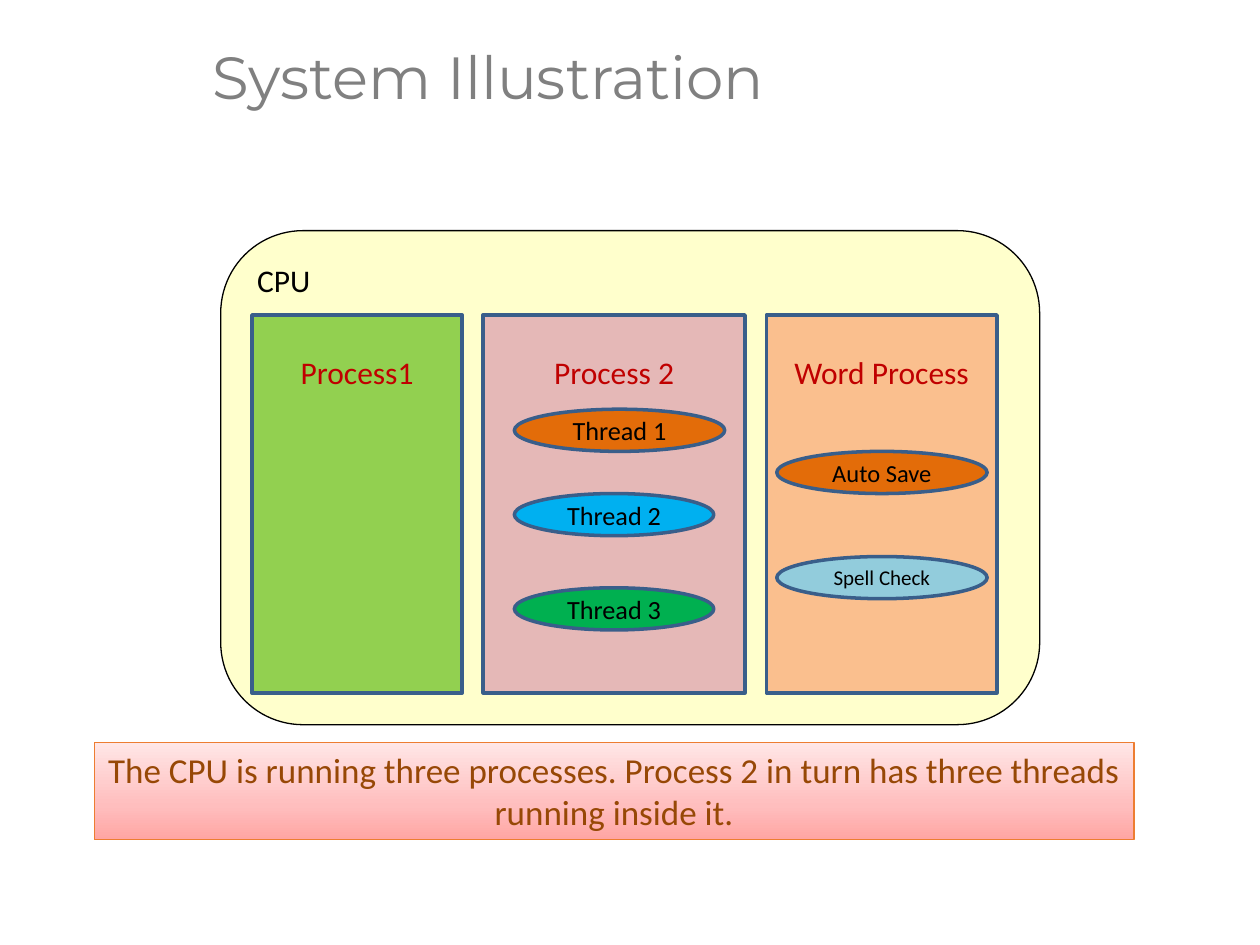
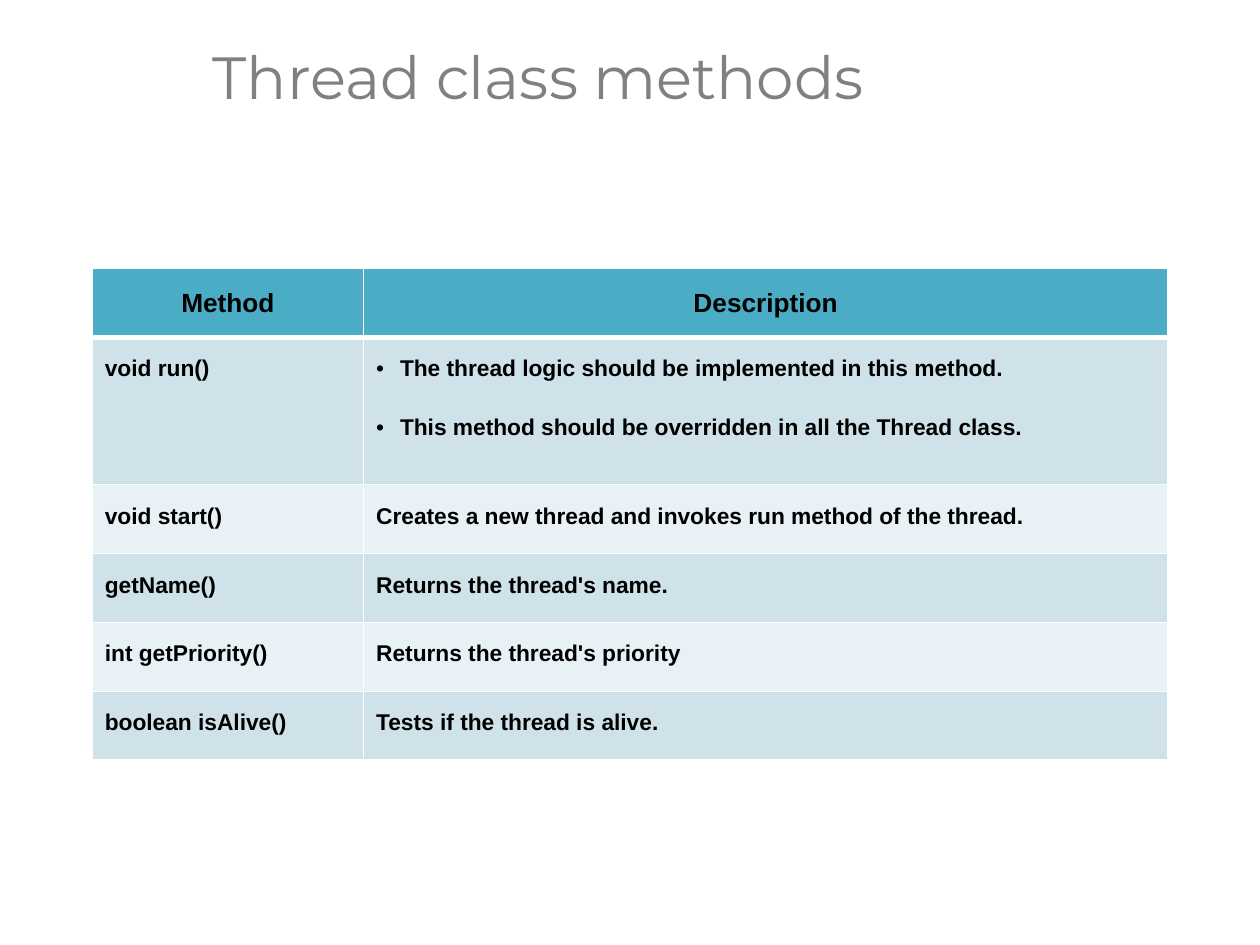
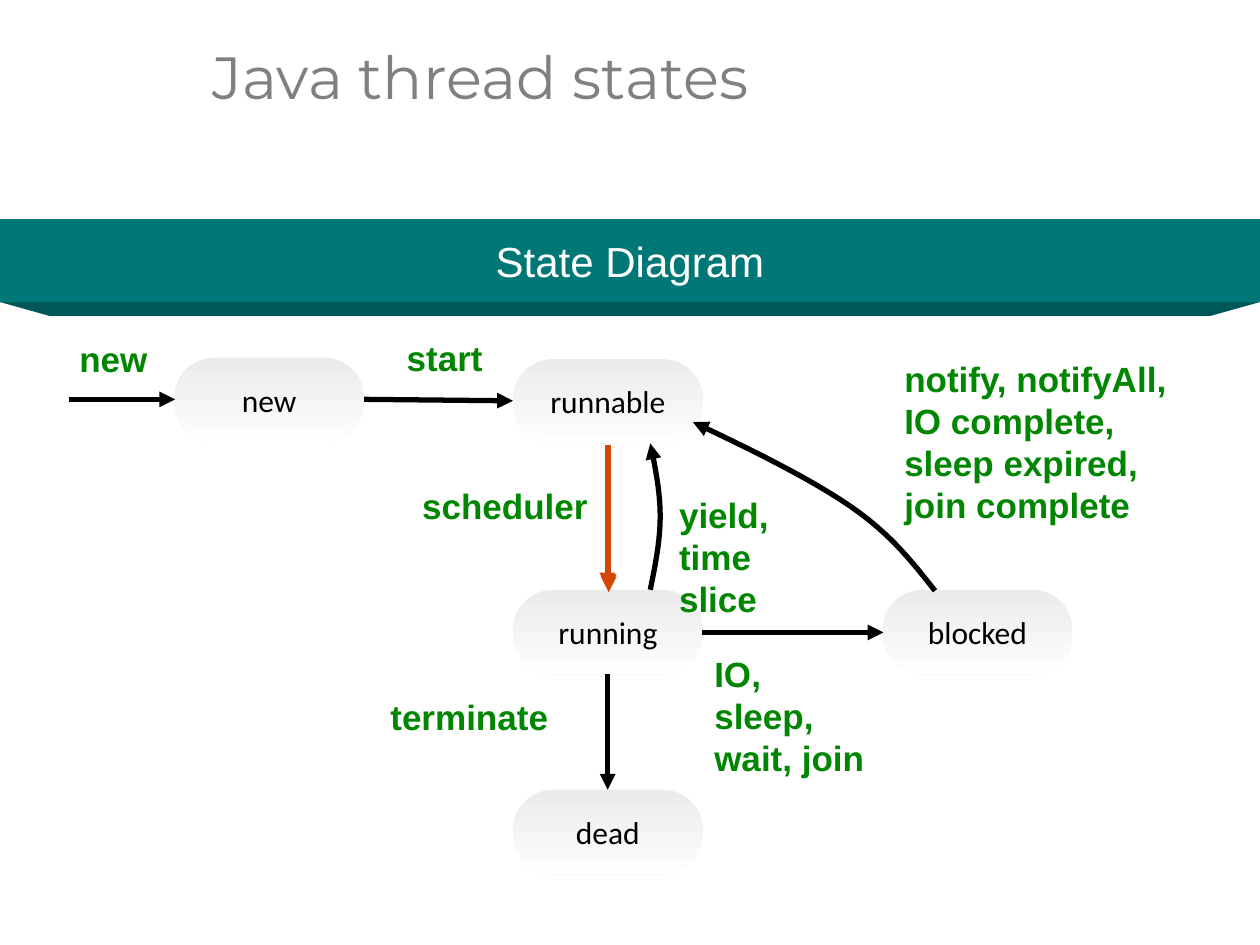
from dataclasses import dataclass
from typing import Optional

from lxml.etree import SubElement
from pptx import Presentation
from pptx.dml.color import RGBColor
from pptx.enum.shapes import MSO_CONNECTOR, MSO_SHAPE
from pptx.enum.text import MSO_ANCHOR, PP_ALIGN
from pptx.oxml.ns import qn
from pptx.util import Cm, Pt

COLORS = {
    "title": "808080", "black": "000000", "white": "FFFFFF",
    "cpu": "FFFFCC", "outline": "395E8A", "process_text": "C00000",
    "lime": "92D050", "peach": "FABF8E", "rose": "E5B8B7",
    "orange": "E36C09", "sky": "00B0F0", "green": "00B050", "aqua": "92CCDC",
    "caption_low": "FFA5A3", "caption_mid": "FFBEBE", "caption_high": "FFE6E6",
    "caption_line": "ED7D31", "caption_text": "974806",
    "header": "4BACC6", "row_odd": "CFE2EA", "row_even": "E8F1F5",
    "state": "E7E6E6", "label": "008600", "schedule": "D44700",
    "band": "007777", "fold": "005757",
}
TITLE_FONT, SHAPE_FONT, TEXT_FONT = "Montserrat", "Calibri", "Arial"
SLIDE_W, SLIDE_H = 25.4, 19.05

Point = tuple[float, float]


@dataclass(frozen=True)
class Style:
    font: str
    size: float
    color: str
    bold: bool = False
    align: PP_ALIGN = PP_ALIGN.CENTER


@dataclass(frozen=True)
class Process:
    name: str
    left: float
    width: float
    color: str


@dataclass(frozen=True)
class Thread:
    name: str
    left: float
    top: float
    width: float
    color: str
    size: float = 15


@dataclass(frozen=True)
class State:
    name: str
    left: float
    top: float


@dataclass(frozen=True)
class Arrow:
    start: Point
    end: Point
    color: str = "black"


@dataclass(frozen=True)
class Label:
    lines: tuple[str, ...]
    left: float
    top: float
    width: float
    height: float


PROCESS_STYLE = Style(SHAPE_FONT, 18, "process_text")
BLACK_STYLE = Style(SHAPE_FONT, 18, "black")
LABEL_STYLE = Style(TEXT_FONT, 20, "label", True, PP_ALIGN.LEFT)

PROCESSES = [
    Process("Process1", 5.08, 4.24, "lime"),
    Process("Word Process", 15.45, 4.65, "peach"),
    Process("Process 2", 9.74, 5.28, "rose"),
]
THREADS = [
    Thread("Thread 1", 10.37, 8.25, 4.24, "orange"),
    Thread("Thread 2", 10.37, 9.95, 4.02, "sky"),
    Thread("Thread 3", 10.37, 11.85, 4.02, "green"),
    Thread("Auto Save", 15.66, 9.1, 4.24, "orange", 14),
    Thread("Spell Check", 15.66, 11.22, 4.24, "aqua", 12),
]
METHODS = [
    ("void run()", ["The thread logic should be implemented in this method.",
                    "This method should be overridden in all the Thread class."]),
    ("void start()", ["Creates a new thread and invokes run method of the thread."]),
    ("getName()", ["Returns the thread's name."]),
    ("int getPriority()", ["Returns the thread's priority"]),
    ("boolean isAlive()", ["Tests if the thread is alive."]),
]
STATES = [
    State("runnable", 10.35, 7.24),
    State("new", 3.52, 7.21),
    State("dead", 10.35, 15.92),
    State("running", 10.35, 11.89),
    State("blocked", 17.8, 11.89),
]
ARROWS = [
    Arrow((1.4, 8.05), (3.53, 8.05)),
    Arrow((7.34, 8.05), (10.34, 8.08)),
    Arrow((14.15, 12.75), (17.81, 12.75)),
    Arrow((12.25, 13.59), (12.25, 15.92)),
    Arrow((12.24, 8.97), (12.24, 11.86), "schedule"),
    Arrow((12.27, 8.97), (12.27, 11.89), "schedule"),
    Arrow((12.27, 9.02), (12.27, 11.94), "schedule"),
]
YIELD_CURVE = [(13.11, 11.89), (13.21, 11.4), (13.31, 10.9), (13.31, 10.41),
               (13.31, 9.91), (13.21, 9.42), (13.11, 8.94)]
UNBLOCK_CURVE = [(18.85, 11.91), (18.39, 11.33), (17.96, 10.77), (17.15, 10.21),
                 (16.33, 9.65), (15.16, 9.07), (13.97, 8.51)]
LABELS = [
    Label(("scheduler",), 8.26, 9.65, 4.1, 1.1),
    Label(("new",), 1.35, 6.68, 2.1, 1.1),
    Label(("start",), 7.95, 6.65, 2.3, 1.1),
    Label(("terminate",), 7.62, 13.89, 3.89, 1.1),
    Label(("IO, sleep,", "wait, join"), 14.15, 13.03, 3.6, 1.95),
    Label(("yield,", "time slice"), 13.44, 9.83, 3.65, 1.95),
    Label(("notify, notifyAll,", "IO complete, sleep expired,", "join complete"),
          17.98, 7.09, 6.2, 3.63),
]


def rgb(name: str) -> RGBColor:
    return RGBColor.from_string(COLORS[name])


def add_text(p, text: str, style: Style) -> None:
    p.alignment = style.align
    r = p.add_run()
    r.text = text
    r.font.name = style.font
    r.font.size = Pt(style.size)
    r.font.bold = style.bold
    r.font.color.rgb = rgb(style.color)


def paint(s, fill: Optional[str] = None, line: Optional[str] = None,
          width: float = 0.75) -> None:
    s.shadow.inherit = False
    if fill:
        s.fill.solid()
        s.fill.fore_color.rgb = rgb(fill)
    else:
        s.fill.background()
    if line:
        s.line.color.rgb = rgb(line)
        s.line.width = Pt(width)
    else:
        s.line.fill.background()


def paint_gradient(s, stops: list[tuple[int, str]], angle: int, opacity: int = 100) -> None:
    """Fill a shape with (percent, colour) stops along an angle in degrees."""
    s.fill.gradient()
    grad = s._element.spPr.find(qn("a:gradFill"))
    for child in list(grad):
        grad.remove(child)
    gs_list = SubElement(grad, qn("a:gsLst"))
    for percent, color in stops:
        gs = SubElement(gs_list, qn("a:gs"), pos=str(percent * 1000))
        clr = SubElement(gs, qn("a:srgbClr"), val=COLORS[color])
        if opacity < 100:
            SubElement(clr, qn("a:alpha"), val=str(opacity * 1000))
    SubElement(grad, qn("a:lin"), ang=str(angle * 60000), scaled="0")


def add_box(slide, kind: MSO_SHAPE, left: float, top: float, width: float, height: float,
            text: str, style: Style, anchor: MSO_ANCHOR = MSO_ANCHOR.MIDDLE):
    s = slide.shapes.add_shape(kind, Cm(left), Cm(top), Cm(width), Cm(height))
    tf = s.text_frame
    tf.word_wrap = True
    tf.vertical_anchor = anchor
    add_text(tf.paragraphs[0], text, style)
    return s


def add_arrowhead(s) -> None:
    SubElement(s._element.spPr.find(qn("a:ln")), qn("a:tailEnd"), type="triangle")


def add_arrow(slide, arrow: Arrow) -> None:
    ends = [Cm(v) for v in arrow.start + arrow.end]
    s = slide.shapes.add_connector(MSO_CONNECTOR.STRAIGHT, *ends)
    s.line.color.rgb = rgb(arrow.color)
    s.line.width = Pt(3)
    add_arrowhead(s)
    SubElement(s._element.spPr, qn("a:effectLst"))


def add_outline(slide, points: list[Point], close: bool):
    emu = [(Cm(x), Cm(y)) for x, y in points]
    builder = slide.shapes.build_freeform(*emu[0], scale=1.0)
    builder.add_line_segments(emu[1:], close=close)
    return builder.convert_to_shape()


def bezier(controls: list[Point], t: float) -> Point:
    weights = ((1 - t) ** 3, 3 * t * (1 - t) ** 2, 3 * t ** 2 * (1 - t), t ** 3)
    x, y = (sum(w * c[axis] for w, c in zip(weights, controls)) for axis in (0, 1))
    return x, y


def add_curved_arrow(slide, controls: list[Point], steps: int = 12) -> None:
    """Draw chained cubic curves that share their end points."""
    points = [controls[0]]
    for i in range(0, len(controls) - 1, 3):
        points += [bezier(controls[i:i + 4], n / steps) for n in range(1, steps + 1)]
    s = add_outline(slide, points, close=False)
    paint(s, line="black", width=3)
    add_arrowhead(s)


def add_label(slide, label: Label) -> None:
    s = slide.shapes.add_textbox(Cm(label.left), Cm(label.top),
                                 Cm(label.width), Cm(label.height))
    tf = s.text_frame
    tf.word_wrap = True
    for i, line in enumerate(label.lines):
        p = tf.add_paragraph() if i else tf.paragraphs[0]
        p.line_spacing = Pt(24)
        add_text(p, line, LABEL_STYLE)


def add_titled_slide(prs, title: str):
    slide = prs.slides.add_slide(prs.slide_layouts[6])
    s = slide.shapes.add_textbox(Cm(4.04), Cm(0.04), Cm(21.36), Cm(3.15))
    tf = s.text_frame
    tf.word_wrap = True
    tf.vertical_anchor = MSO_ANCHOR.MIDDLE
    p = tf.paragraphs[0]
    p.line_spacing = 0.9
    add_text(p, title, Style(TITLE_FONT, 34, "title", align=PP_ALIGN.LEFT))
    return slide


def fill_cell(cell, lines: list[str], style: Style, fill: str,
              top_line: float, bottom_line: float) -> None:
    tc_pr = cell._tc.get_or_add_tcPr()
    for side, width in zip("LRTB", (1, 1, top_line, bottom_line)):
        ln = SubElement(tc_pr, qn(f"a:ln{side}"), w=str(Pt(width)))
        solid = SubElement(ln, qn("a:solidFill"))
        SubElement(solid, qn("a:srgbClr"), val=COLORS["white"])
    cell.fill.solid()
    cell.fill.fore_color.rgb = rgb(fill)
    tf = cell.text_frame
    for i, line in enumerate(lines):
        p = tf.add_paragraph() if i else tf.paragraphs[0]
        p.line_spacing = 1.5
        if i:
            p.space_before = Pt(12)
        if len(lines) > 1:
            p_pr = p._p.get_or_add_pPr()
            p_pr.set("marL", str(Cm(0.48)))
            p_pr.set("indent", str(-Cm(0.48)))
            SubElement(p_pr, qn("a:buFont"), typeface=TEXT_FONT)
            SubElement(p_pr, qn("a:buChar"), char="•")
        add_text(p, line, style)


def build_illustration(prs) -> None:
    slide = add_titled_slide(prs, "System Illustration")
    cpu = add_box(slide, MSO_SHAPE.ROUNDED_RECTANGLE, 4.45, 4.65, 16.51, 9.96, "CPU",
                  Style(SHAPE_FONT, 18, "black", align=PP_ALIGN.LEFT), MSO_ANCHOR.TOP)
    paint(cpu, "cpu", "black")
    for process in PROCESSES:
        s = add_box(slide, MSO_SHAPE.RECTANGLE, process.left, 6.35, process.width, 7.62,
                    process.name, PROCESS_STYLE, MSO_ANCHOR.TOP)
        s.text_frame.margin_top = Cm(0.76)
        paint(s, process.color, "outline", 2)
    for thread in THREADS:
        s = add_box(slide, MSO_SHAPE.OVAL, thread.left, thread.top, thread.width, 0.85,
                    thread.name, Style(SHAPE_FONT, thread.size, "black"))
        paint(s, thread.color, "outline", 2)
    caption = add_box(
        slide, MSO_SHAPE.RECTANGLE, 1.9, 14.97, 20.96, 1.96,
        "The CPU is running three processes. Process 2 in turn has three threads "
        "running inside it.",
        Style(SHAPE_FONT, 20, "caption_text"), MSO_ANCHOR.TOP)
    paint(caption, line="caption_line")
    paint_gradient(caption, [(0, "caption_low"), (35, "caption_mid"),
                             (100, "caption_high")], 270)


def build_methods(prs) -> None:
    slide = add_titled_slide(prs, "Thread class methods")
    widths, heights = (5.47, 16.21), (1.39, 2.97, 1.39, 1.39, 1.39, 1.39)
    table = slide.shapes.add_table(len(heights), len(widths), Cm(1.86), Cm(5.41),
                                   Cm(sum(widths)), Cm(sum(heights))).table
    for column, width in zip(table.columns, widths):
        column.width = Cm(width)
    for row, height in zip(table.rows, heights):
        row.height = Cm(height)
    header = Style(TEXT_FONT, 15, "black", True)
    body = Style(TEXT_FONT, 13, "black", True, PP_ALIGN.LEFT)
    for col, name in enumerate(("Method", "Description")):
        fill_cell(table.cell(0, col), [name], header, "header", 1, 3)
    for row, (method, description) in enumerate(METHODS, start=1):
        fill = "row_odd" if row % 2 else "row_even"
        for col, lines in enumerate(([method], description)):
            fill_cell(table.cell(row, col), lines, body, fill, 3 if row == 1 else 1, 1)


def build_states(prs) -> None:
    slide = add_titled_slide(prs, "Java thread states")
    for state in STATES:
        s = add_box(slide, MSO_SHAPE.ROUNDED_RECTANGLE, state.left, state.top, 3.81, 1.7,
                    state.name, BLACK_STYLE)
        s.adjustments[0] = 0.47
        paint(s)
        paint_gradient(s, [(0, "state"), (100, "white")], 90, opacity=80)
    for arrow in ARROWS:
        add_arrow(slide, arrow)
    for curve in (YIELD_CURVE, UNBLOCK_CURVE):
        add_curved_arrow(slide, curve)
    for label in LABELS:
        add_label(slide, label)
    band_top, band_height, fold_height, fold_inset = 4.42, 1.67, 0.28, 1
    fold_top = band_top + band_height
    fold_bottom = fold_top + fold_height
    fold = add_outline(slide, [(0, fold_top), (SLIDE_W, fold_top),
                               (SLIDE_W - fold_inset, fold_bottom),
                               (fold_inset, fold_bottom)], close=True)
    paint(fold, "fold")
    band = add_box(slide, MSO_SHAPE.RECTANGLE, 0, band_top, SLIDE_W, band_height,
                   "State Diagram", Style(TEXT_FONT, 24, "white"))
    paint(band, "band")


def main() -> None:
    prs = Presentation()
    prs.slide_width, prs.slide_height = Cm(SLIDE_W), Cm(SLIDE_H)
    build_illustration(prs)
    build_methods(prs)
    build_states(prs)
    prs.save("out.pptx")


if __name__ == "__main__":
    main()
